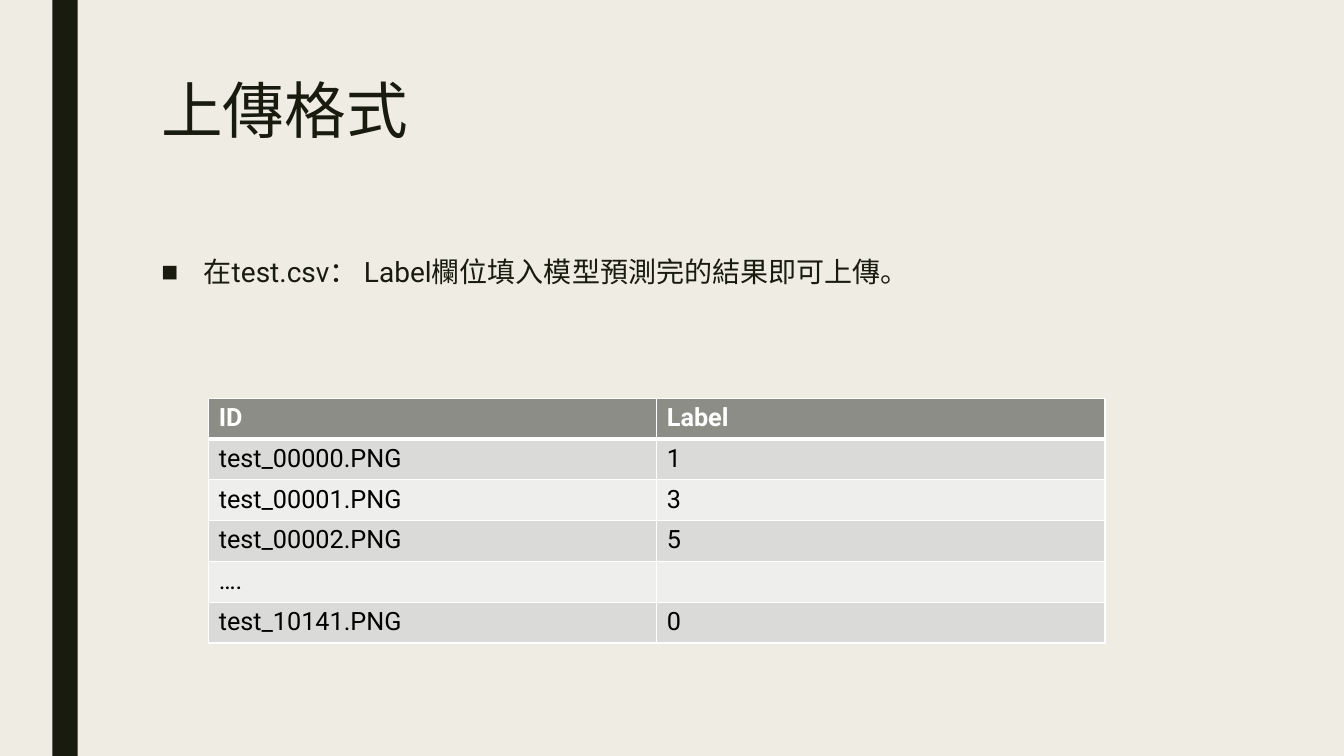
"""Build the slide that explains the upload format."""
from lxml import etree
from pptx import Presentation
from pptx.dml.color import RGBColor
from pptx.enum.shapes import MSO_SHAPE
from pptx.enum.text import MSO_ANCHOR, MSO_AUTO_SIZE, PP_ALIGN
from pptx.oxml.ns import qn
from pptx.util import Inches, Pt

RECTANGLE = MSO_SHAPE.RECTANGLE
TOP = MSO_ANCHOR.TOP
NO_AUTOFIT = MSO_AUTO_SIZE.NONE
LEFT = PP_ALIGN.LEFT

FONT = "Roboto"
DARK = "191B0E"
WHITE = "FFFFFF"
HEADER_FILL = "8C8D86"
BAND_FILLS = ["EEEEED", "DADBD9"]
ROWS = [
    ("ID", "Label"),
    ("test_00000.PNG", "1"),
    ("test_00001.PNG", "3"),
    ("test_00002.PNG", "5"),
    ("….", ""),
    ("test_10141.PNG", "0"),
]


def color(hex_value):
    return RGBColor.from_string(hex_value)


def format_text(paragraph, size, hex_value, bold=False):
    paragraph.alignment = LEFT
    for run in paragraph.runs:
        run.font.name = FONT
        run.font.size = Pt(size)
        run.font.bold = bold
        run.font.color.rgb = color(hex_value)


presentation = Presentation()
presentation.slide_width = Inches(13.33)
presentation.slide_height = Inches(7.5)
slide = presentation.slides.add_slide(presentation.slide_layouts[1])
slide.background.fill.solid()
slide.background.fill.fore_color.rgb = color("EFEDE3")

side_bar = slide.shapes.add_shape(RECTANGLE, Inches(0.52), 0, Inches(0.25), Inches(7.5))
side_bar.shadow.inherit = False
side_bar.fill.solid()
side_bar.fill.fore_color.rgb = color(DARK)
side_bar.line.fill.background()

title, body = slide.placeholders
placeholders = [
    (title, 0.75, 1.62, "上傳格式", 44, 0.89),
    (body, 2.5, 3.92, "在test.csv： Label欄位填入模型預測完的結果即可上傳。", 20, 0.94),
]
for shape, top, height, text, size, spacing in placeholders:
    shape.left, shape.top = Inches(1.5), Inches(top)
    shape.width, shape.height = Inches(10.5), Inches(height)
    shape.text_frame.text = text
    shape.text_frame.vertical_anchor = TOP
    shape.text_frame.auto_size = NO_AUTOFIT
    paragraph = shape.text_frame.paragraphs[0]
    paragraph.line_spacing = spacing
    format_text(paragraph, size, DARK)

bullet_paragraph = body.text_frame.paragraphs[0]
bullet_paragraph.space_before = Pt(10)
bullet_paragraph.space_after = Pt(2)
properties = bullet_paragraph._p.get_or_add_pPr()
properties.set("marL", str(Inches(0.42)))
properties.set("indent", str(Inches(-0.42)))
etree.SubElement(properties, qn("a:buFont"), typeface="Arial")
etree.SubElement(properties, qn("a:buChar"), char="■")

row_height = Inches(0.405)
table = slide.shapes.add_table(
    len(ROWS), 2, Inches(2.07), Inches(3.95), Inches(8.89), row_height * len(ROWS)
).table
for row_index, values in enumerate(ROWS):
    table.rows[row_index].height = row_height
    is_header = row_index == 0
    for column_index, value in enumerate(values):
        cell = table.cell(row_index, column_index)
        cell.text_frame.text = value
        paragraph = cell.text_frame.paragraphs[0]
        paragraph.font.size = Pt(18)
        format_text(paragraph, 18, WHITE if is_header else "000000", is_header)

        cell_properties = cell._tc.get_or_add_tcPr()
        border_widths = {
            "L": 1,
            "R": 1,
            "T": 3 if row_index == 1 else 1,
            "B": 3 if is_header else 1,
        }
        for side, width in border_widths.items():
            border = etree.SubElement(cell_properties, qn(f"a:ln{side}"), w=str(Pt(width)))
            border_fill = etree.SubElement(border, qn("a:solidFill"))
            etree.SubElement(border_fill, qn("a:srgbClr"), val=WHITE)
        cell.fill.solid()
        cell.fill.fore_color.rgb = color(HEADER_FILL if is_header else BAND_FILLS[row_index % 2])

presentation.save("out.pptx")
